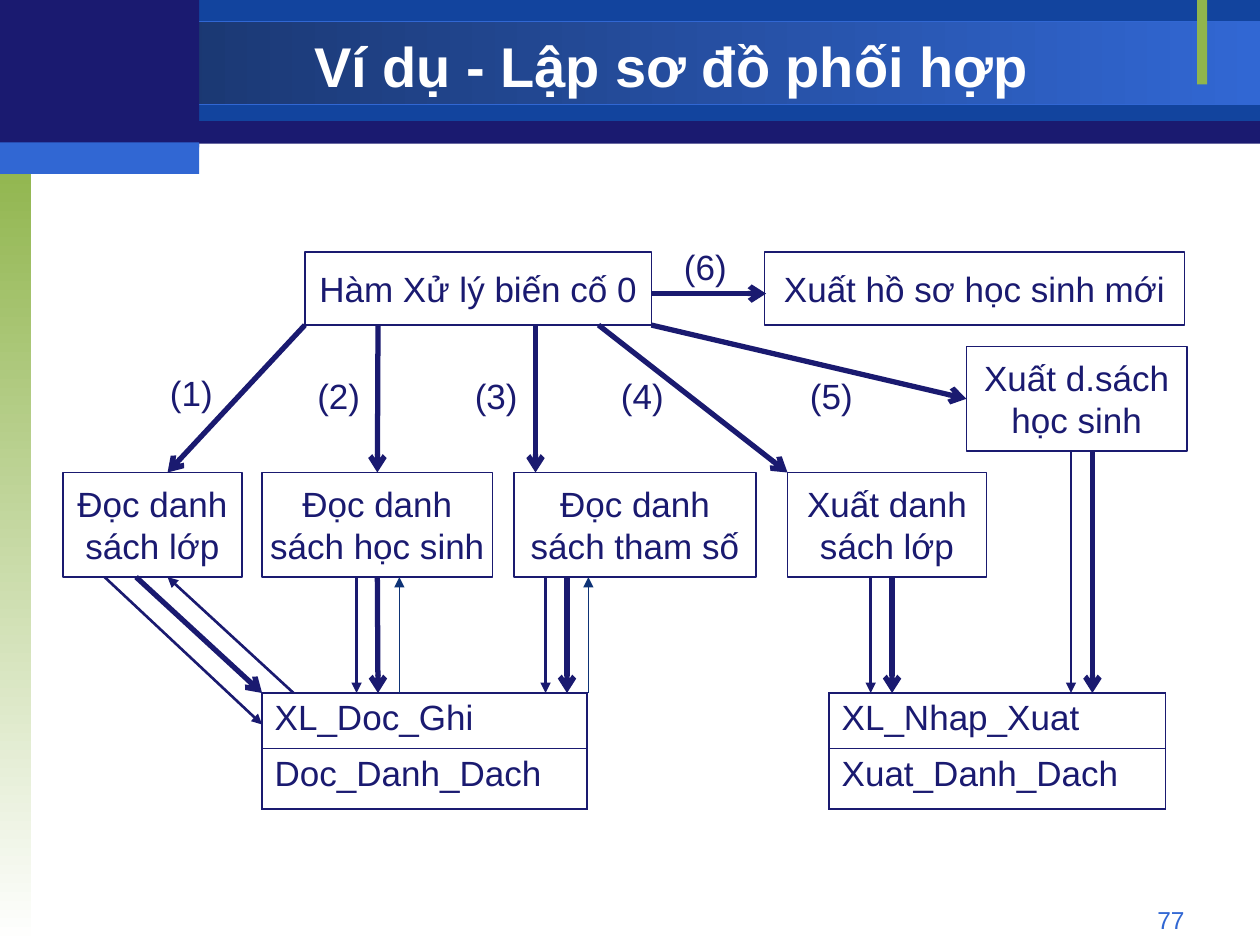
"""Build the slide with the coordination diagram for adding a student."""
from lxml.etree import SubElement
from pptx import Presentation
from pptx.dml.color import RGBColor
from pptx.enum.shapes import MSO_CONNECTOR, MSO_SHAPE
from pptx.enum.text import MSO_ANCHOR, MSO_AUTO_SIZE, PP_ALIGN
from pptx.oxml.ns import qn
from pptx.util import Inches, Pt

COLORS = {"navy": "1A1A70", "blue": "12449E", "bright": "3167D3", "deep": "173062",
          "green": "90B54D", "white": "FFFFFF", "return": "0E3376"}
FONT = "Arial"


def rgb(name):
    """Return the named palette colour."""
    return RGBColor.from_string(COLORS[name])


def place(box, left, top, width, height):
    """Return slide lengths for a part given relative to a box."""
    return Inches(box[0] + left), Inches(box[1] + top), Inches(width), Inches(height)


def format_text(frame, color="navy", size=20, align=PP_ALIGN.LEFT, bold=False):
    """Format every run of a text frame."""
    for paragraph in frame.paragraphs:
        paragraph.alignment = align
        for run in paragraph.runs:
            run.font.name, run.font.size, run.font.bold = FONT, Pt(size), bold
            run.font.color.rgb = rgb(color)


def add_panel(slide, area, fill=None, line=None):
    """Add a rectangle with a solid fill, a gradient (start, end, angle) or no fill."""
    panel = slide.shapes.add_shape(MSO_SHAPE.RECTANGLE, *area)
    panel.shadow.inherit = False
    if fill is None:
        panel.fill.background()
    elif isinstance(fill, tuple):
        panel.fill.gradient()
        panel.fill.gradient_angle = fill[2]
        for stop, color in zip(panel.fill.gradient_stops, fill):
            stop.color.rgb = rgb(color)
    else:
        panel.fill.solid()
        panel.fill.fore_color.rgb = rgb(fill)
    if line:
        panel.line.color.rgb = rgb(line)
        panel.line.width = Pt(0.75)
    else:
        panel.line.fill.background()
    return panel


def add_label(slide, area, text, **style):
    """Add a wrapped text box."""
    label = slide.shapes.add_textbox(*area)
    label.text_frame.word_wrap = True
    label.text_frame.text = text
    format_text(label.text_frame, **style)


def add_arrow(slide, box, start, end, width=3, head="arrow", color="navy"):
    """Add a straight arrow between two points relative to a box."""
    ends = [Inches(box[axis] + point[axis]) for point in (start, end) for axis in (0, 1)]
    arrow = slide.shapes.add_connector(MSO_CONNECTOR.STRAIGHT, *ends)
    arrow.line.color.rgb = rgb(color)
    arrow.line.width = Pt(width)
    SubElement(arrow.line._get_or_add_ln(), qn("a:tailEnd"), type=head)
    SubElement(arrow._element.spPr, qn("a:effectLst"))
    return arrow


def draw_frame(slide, box):
    """Draw the header bands, the side stripe and the accent bar."""
    width, height, corner = box[2], box[3], 1.58
    add_panel(slide, place(box, 0, 0.01, width, 1.13), "navy")
    add_panel(slide, place(box, corner, 0, width - corner, 0.96), "blue")
    add_panel(slide, place(box, 0, 0.17, width, 0.66), ("deep", "bright", 0), "bright")
    add_panel(slide, place(box, 0, 1.25, 0.25, height - 1.25), ("green", "white", 270))
    add_panel(slide, place(box, 9.5, 0, 0.08, 0.67), "green")
    add_panel(slide, place(box, 0, 0, corner, 1.17), "navy")
    add_panel(slide, place(box, 0, 1.13, corner, 0.25), "bright")


def draw_title(slide, box, text):
    """Move the title in front of the header bands and format it."""
    title = slide.shapes.title
    slide.shapes._spTree.append(title._element)
    title.left, title.top, title.width, title.height = place(box, 0, 0, *box[2:])
    frame = title.text_frame
    frame.text = text
    frame.auto_size = MSO_AUTO_SIZE.NONE
    frame.vertical_anchor = MSO_ANCHOR.MIDDLE
    format_text(frame, "white", 32, PP_ALIGN.CENTER, True)


def draw_functions(slide, box):
    """Draw the function boxes with the numbered calls and return the boxes by key."""
    parts = {
        "handler": ((1.92, 0, 2.75, 0.58), "Hàm Xử lý biến cố 0"),
        "profile": ((5.57, 0, 3.33, 0.58), "Xuất hồ sơ học sinh mới"),
        "roster": ((7.17, 0.75, 1.75, 0.83), "Xuất d.sách\nhọc sinh"),
        "classes": ((0, 1.75, 1.42, 0.83), "Đọc danh\nsách lớp"),
        "students": ((1.58, 1.75, 1.83, 0.83), "Đọc danh\nsách học sinh"),
        "parameters": ((3.58, 1.75, 1.92, 0.83), "Đọc danh\nsách tham số"),
        "class_output": ((5.75, 1.75, 1.58, 0.83), "Xuất danh\nsách lớp"),
    }
    functions = {}
    for key, (area, text) in parts.items():
        function = add_panel(slide, place(box, *area), line="navy")
        frame = function.text_frame
        frame.text = text
        frame.word_wrap = False
        frame.vertical_anchor = MSO_ANCHOR.MIDDLE
        format_text(frame, align=PP_ALIGN.CENTER)
        functions[key] = function

    calls = [
        ((1.92, 0.58), (0.83, 1.75), (0.75, 0.9)),
        ((2.5, 0.58), (2.5, 1.75), (1.92, 0.92)),
        ((3.75, 0.58), (3.75, 1.75), (3.17, 0.92)),
        ((4.25, 0.58), (5.75, 1.75), (4.33, 0.92)),
        ((4.67, 0.58), (7.17, 1.17), (5.83, 0.92)),
        ((4.67, 0.33), (5.58, 0.33), (4.83, -0.1)),
    ]
    joins = {2: ("students", 0), 5: ("roster", 1)}
    for number, (start, end, label) in enumerate(calls, 1):
        call = add_arrow(slide, box, start, end)
        if number in joins:
            key, side = joins[number]
            call.end_connect(functions[key], side)
        add_label(slide, place(box, *label, 0.58, 0.44), f"({number})")
    return functions


def draw_class(slide, box, name, method):
    """Draw a class as a table with its name above its method."""
    table = slide.shapes.add_table(2, 1, *place(box, 0, 0, *box[2:])).table
    table.first_row = table.horz_banding = False
    for index, (text, height) in enumerate(((name, 0.44), (method, 0.48))):
        table.rows[index].height = Inches(height)
        cell = table.cell(index, 0)
        cell.text = text
        format_text(cell.text_frame)
        inner = "lnB" if index == 0 else "lnT"
        for side in ("lnL", "lnR", "lnT", "lnB"):
            width = Pt(0.45 if side == inner else 1.08)
            border = SubElement(cell._tc.get_or_add_tcPr(), qn(f"a:{side}"), w=str(width))
            fill = SubElement(border, qn("a:solidFill"))
            SubElement(fill, qn("a:srgbClr"), val=COLORS["navy"])
        cell.fill.background()


def draw_links(slide, box, functions):
    """Draw the arrows between the functions and the classes below them."""
    bottom = box[3]
    thin = {"width": 1.5, "head": "triangle"}
    for x, top in ((2.5, 0), (4, 0), (6.58, 0), (8.17, -1)):
        call = add_arrow(slide, box, (x, top), (x, bottom))
        if x == 2.5:
            call.begin_connect(functions["students"], 2)
        add_arrow(slide, box, (x - 0.17, top), (x - 0.17, bottom), **thin)
    for x in (2.67, 4.17):
        add_arrow(slide, box, (x, bottom), (x, 0), 0.75, "triangle", "return")
    add_arrow(slide, box, (0.58, 0), (1.58, bottom))
    add_arrow(slide, box, (0.33, 0), (1.58, 1.17), **thin)
    add_arrow(slide, box, (1.83, bottom), (0.83, 0), **thin)


def main():
    """Build and save the slide."""
    deck = Presentation()
    deck.slide_width, deck.slide_height = Inches(10), Inches(7.5)
    slide = deck.slides.add_slide(deck.slide_layouts[5])
    draw_frame(slide, (0, 0, 10, 7.5))
    draw_title(slide, (1.58, 0.23, 7.5, 0.58), "Ví dụ - Lập sơ đồ phối hợp")
    functions = draw_functions(slide, (0.5, 2, 8.92, 2.58))
    draw_class(slide, (2.08, 5.5, 2.58, 0.92), "XL_Doc_Ghi", "Doc_Danh_Dach")
    draw_class(slide, (6.58, 5.5, 2.67, 0.92), "XL_Nhap_Xuat", "Xuat_Danh_Dach")
    draw_links(slide, (0.5, 4.58, 8.92, 0.92), functions)
    add_label(slide, place((7.17, 7.13), 0, 0, 2.33, 0.27), "77",
              color="bright", size=14, align=PP_ALIGN.RIGHT)
    deck.save("out.pptx")


if __name__ == "__main__":
    main()
